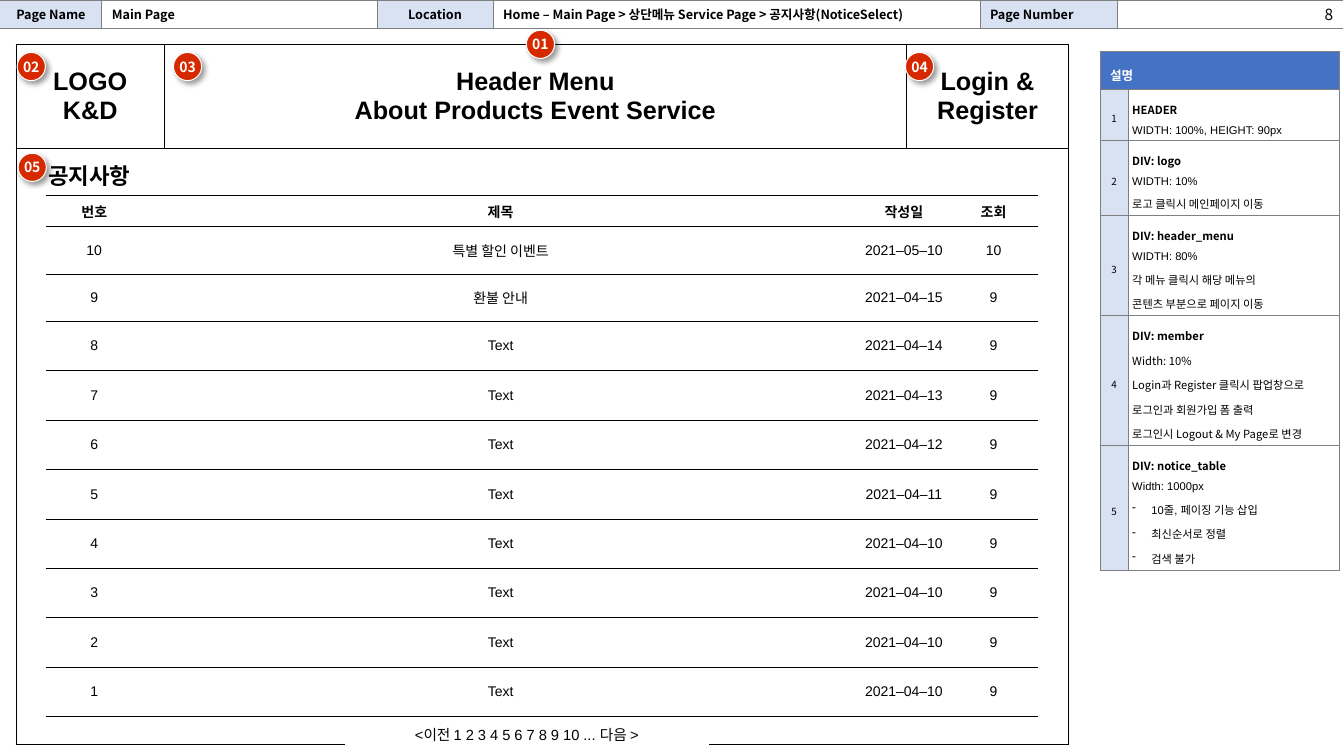
from lxml import etree
from pptx import Presentation
from pptx.dml.color import RGBColor
from pptx.enum import shapes, text
from pptx.oxml.ns import qn
from pptx.util import Inches, Pt

# Content
PAGE_INFO = ["Page Name", "Main Page", "Location",
             "Home – Main Page > 상단메뉴 Service Page > 공지사항(NoticeSelect)",
             "Page Number", ""]
PAGE_NUMBER = "8"
HEADER = [["LOGO", "K&D"],
          ["Header Menu", "About Products Event Service"],
          ["Login &", "Register"]]
NOTICE_TITLE = "공지사항"
NOTICE_HEAD = ("번호", "제목", "작성일", "조회")
SUBJECTS = ["특별 할인 이벤트", "환불 안내"] + ["Text"] * 8
DAYS = [10, 15, 14, 13, 12, 11, 10, 10, 10, 10]
PAGER = "<이전 1 2 3 4 5 6 7 8 9 10 ... 다음 >"
NOTES_HEAD = "설명"
SANS, KOREAN = "Arial", "Noto Sans CJK KR"
# heading, font of the lines below, lines, bullets
NOTES = [
    ("HEADER", SANS, ["WIDTH: 100%, HEIGHT: 90px"], []),
    ("DIV: logo", SANS, ["WIDTH: 10%", "로고 클릭시 메인페이지 이동"], []),
    ("DIV: header_menu", SANS,
     ["WIDTH: 80%", "각 메뉴 클릭시 해당 메뉴의", "콘텐츠 부분으로 페이지 이동"], []),
    ("DIV: member", KOREAN,
     ["Width: 10%", "Login과 Register 클릭시 팝업창으로", "로그인과 회원가입 폼 출력",
      "로그인시 Logout & My Page로 변경"], []),
    ("DIV: notice_table", SANS, ["Width: 1000px"],
     ["10줄, 페이징 기능 삽입", "최신순서로 정렬", "검색 불가"]),
]
BADGES = {"02": (0.17, 0.52), "03": (1.72, 0.52), "04": (8.98, 0.52),
          "01": (5.22, 0.3), "05": (0.18, 1.52)}
COLORS = {"black": "000000", "white": "FFFFFF", "grey": "7F7F7F",
          "label": "D8E2F3", "blue": "4472C4", "badge": "D62900"}
LEFT, CENTER, RIGHT = (text.PP_ALIGN.LEFT, text.PP_ALIGN.CENTER, text.PP_ALIGN.RIGHT)
MIDDLE = text.MSO_ANCHOR.MIDDLE


def rgb(name):
    return RGBColor.from_string(COLORS[name])


def write(frame, lines, size, font=KOREAN, bold=False, color="black",
          align=LEFT, spacing=None, extend=False):
    """Fill a text frame with one paragraph per line and return the paragraphs."""
    written = []
    for number, line in enumerate(lines):
        fresh = number == 0 and not extend
        paragraph = frame.paragraphs[0] if fresh else frame.add_paragraph()
        paragraph.alignment = align
        if spacing:
            paragraph.line_spacing = spacing
        if line:
            run = paragraph.add_run()
            run.text = line
            run.font.size, run.font.bold, run.font.name = Pt(size), bold, font
            run.font.color.rgb = rgb(color)
            east_asian = etree.SubElement(run.font._element, qn("a:ea"))
            east_asian.set("typeface", KOREAN)
        else:
            etree.SubElement(paragraph._p, qn("a:endParaRPr")).set("sz", str(size * 100))
        written.append(paragraph)
    return written


def set_margins(item, across, down):
    item.margin_left = item.margin_right = Inches(across)
    item.margin_top = item.margin_bottom = Inches(down)


def style_cell(cell, fill="white", margins=(0.1, 0.05)):
    cell.fill.solid()
    cell.fill.fore_color.rgb = rgb(fill)
    cell.vertical_anchor = MIDDLE
    set_margins(cell, *margins)


def draw_borders(cell, sides, color):
    properties = cell._tc.get_or_add_tcPr()
    for place, side in enumerate("LRTB"):
        line = etree.Element(qn(f"a:ln{side}"), w=str(Pt(0.75)))
        if side in sides:
            solid = etree.SubElement(line, qn("a:solidFill"))
            etree.SubElement(solid, qn("a:srgbClr")).set("val", COLORS[color])
        else:
            etree.SubElement(line, qn("a:noFill"))
        properties.insert(place, line)


def add_table(left, top, widths, heights, sides="LRTB", color="black", open_ends=False):
    frame = slide.shapes.add_table(
        len(heights), len(widths), Inches(left), Inches(top),
        Inches(sum(widths)), Inches(sum(heights)))
    table = frame.table
    table.first_row = table.horz_banding = False
    for column, width in zip(table.columns, widths):
        column.width = Inches(width)
    for row, height in zip(table.rows, heights):
        row.height = Inches(height)
        for index, cell in enumerate(row.cells):
            style_cell(cell)
            ends = ("L" if index == 0 else "") + ("R" if index == len(widths) - 1 else "")
            shown = [s for s in sides if not (open_ends and s in ends)]
            draw_borders(cell, shown, color)
    return table


presentation = Presentation()
presentation.slide_width, presentation.slide_height = Inches(13.33), Inches(7.5)
slide = presentation.slides.add_slide(presentation.slide_layouts[5])

# Page information bar
info_bar = add_table(0, 0, [1.01, 2.73, 1.15, 4.83, 1.36, 2.24], [0.28],
                     color="grey", open_ends=True)
for index, label in enumerate(PAGE_INFO):
    cell = info_bar.cell(0, index)
    style_cell(cell, "white" if index % 2 else "label")
    write(cell.text_frame, [label], 9, bold=True, align=CENTER if index in (0, 2) else LEFT)
page_number = slide.shapes.add_textbox(Inches(11.07), 0, Inches(2.25), Inches(0.25)).text_frame
page_number.word_wrap = True
write(page_number, [PAGE_NUMBER], 11, align=RIGHT)

# Description panel
notes = add_table(10.91, 0.51, [0.28, 2.1], [0.38, 0.5, 0.75, 0.99, 1.29, 1.24], color="grey")
notes.cell(0, 0).merge(notes.cell(0, 1))
style_cell(notes.cell(0, 0), "blue")
write(notes.cell(0, 0).text_frame, [NOTES_HEAD], 9, bold=True, color="white", spacing=1.5)
for row, (heading, font, lines, bullets) in enumerate(NOTES, 1):
    number, detail = notes.cell(row, 0), notes.cell(row, 1)
    style_cell(number, "label", (0, 0.05))
    write(number.text_frame, [str(row)], 7, align=CENTER, spacing=1.5)
    style_cell(detail, margins=(0.04, 0.04))
    write(detail.text_frame, [heading], 8, bold=True, spacing=1.5)
    write(detail.text_frame, lines, 8, font, spacing=1.5, extend=True)
    for item in write(detail.text_frame, bullets, 8, font, spacing=1.5, extend=True):
        properties = item._p.get_or_add_pPr()
        properties.set("marL", str(Inches(0.19)))
        properties.set("indent", str(-Inches(0.19)))
        etree.SubElement(properties, qn("a:buChar")).set("char", "-")

# Page frame with header areas
page_frame = add_table(0.16, 0.44, [1.47, 7.36, 1.61], [1.03, 5.92])
page_frame.cell(1, 0).merge(page_frame.cell(1, 2))
for index, lines in enumerate(HEADER):
    write(page_frame.cell(0, index).text_frame, lines, 18, SANS, bold=True, align=CENTER)

# Pager, laid over the bottom edge of the frame
pager = add_table(3.42, 7.13, [3.61], [0.28], sides="")
write(pager.cell(0, 0).text_frame, [PAGER], 10.5, SANS, align=CENTER)

# Notice list
count = len(SUBJECTS)
notices = [NOTICE_HEAD] + [
    (str(count - i), subject, f"2021–{'04' if i else '05'}–{day}", "9" if i else "10")
    for i, (subject, day) in enumerate(zip(SUBJECTS, DAYS))]
notice_table = add_table(0.46, 1.94, [0.95, 7.11, 0.89, 0.89],
                         [0.31] + [0.47] * 2 + [0.49] * 8, sides="TB")
for row, values in enumerate(notices):
    for column, value in enumerate(values):
        cell = notice_table.cell(row, column)
        set_margins(cell, 0, 0)
        write(cell.text_frame, [value], 10, SANS, bold=row == 0, align=CENTER)

# Notice title, brought in front of the frame
title = slide.shapes.title
title.left, title.top, title.width, title.height = map(Inches, (0.38, 1.56, 6.67, 0.37))
title.text_frame.auto_size = text.MSO_AUTO_SIZE.NONE
title.text_frame.vertical_anchor = text.MSO_ANCHOR.TOP
set_margins(title.text_frame, 0.1, 0.05)
write(title.text_frame, [NOTICE_TITLE], 16, bold=True)
slide.shapes._spTree.append(title._element)

# Numbered badges
for label, (left, top) in BADGES.items():
    badge = slide.shapes.add_shape(shapes.MSO_SHAPE.OVAL, Inches(left), Inches(top),
                                   Inches(0.28), Inches(0.28))
    badge.fill.solid()
    badge.fill.fore_color.rgb = rgb("badge")
    badge.line.color.rgb = rgb("white")
    badge.line.width = Pt(0.75)
    badge.shadow.inherit = False
    effects = badge._element.spPr.find(qn("a:effectLst"))
    shadow = etree.SubElement(effects, qn("a:outerShdw"), blurRad=str(Pt(4)),
                              dist=str(Pt(3)), dir=str(45 * 60000), rotWithShape="0")
    tint = etree.SubElement(shadow, qn("a:srgbClr"), val=COLORS["black"])
    etree.SubElement(tint, qn("a:alpha"), val="40000")
    badge.text_frame.word_wrap = False
    badge.text_frame.vertical_anchor = MIDDLE
    set_margins(badge.text_frame, 0, 0)
    write(badge.text_frame, [label], 10, bold=True, color="white", align=CENTER)

presentation.save("out.pptx")
